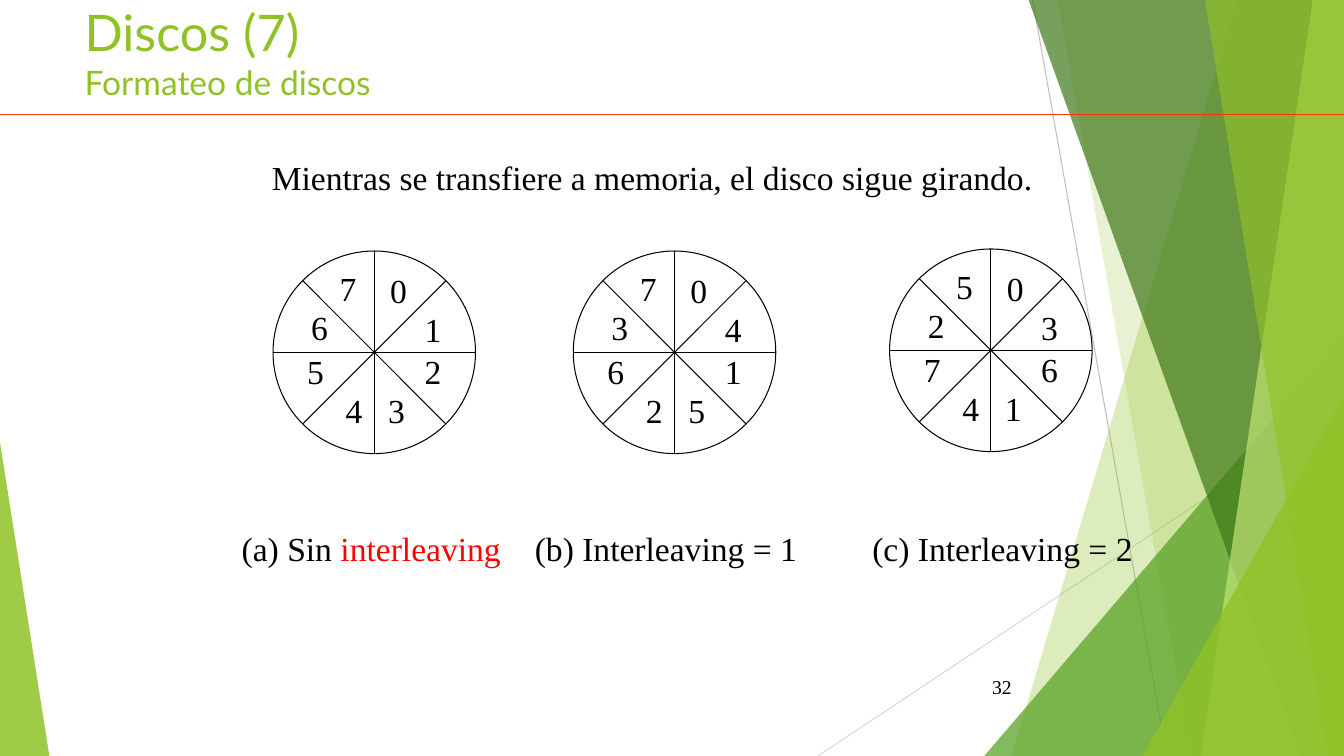
from math import cos, pi, sin

from lxml import etree
from pptx import Presentation
from pptx.dml.color import RGBColor
from pptx.enum.shapes import MSO_CONNECTOR, MSO_SHAPE
from pptx.enum.text import MSO_ANCHOR, PP_ALIGN
from pptx.oxml.ns import qn
from pptx.util import Inches, Pt

LINE = MSO_CONNECTOR.STRAIGHT
OVAL, WEDGE = MSO_SHAPE.OVAL, MSO_SHAPE.ISOSCELES_TRIANGLE
TOP, MIDDLE = MSO_ANCHOR.TOP, MSO_ANCHOR.MIDDLE
LEFT, RIGHT = PP_ALIGN.LEFT, PP_ALIGN.RIGHT

BLACK = RGBColor(0, 0, 0)
RED = RGBColor(0xFF, 0, 0)
ORANGE = RGBColor(0xFF, 0x33, 0)
LIME = RGBColor(0x90, 0xC2, 0x26)
GREEN = RGBColor(0x54, 0xA0, 0x21)
DARK = RGBColor(0x3F, 0x78, 0x19)
PALE = RGBColor(0xC0, 0xE4, 0x74)
GRAY = RGBColor(0xBF, 0xBF, 0xBF)
SILVER = RGBColor(0xD9, 0xD9, 0xD9)

WIDE, HIGH = 13.34, 7.5
SERIF, SANS = "Times New Roman", "Lato"
DISC = 2.01
# Corner of each sector's digit box, clockwise, as shares of the disc size
SLOTS = [(0.53, 0.07), (0.7, 0.26), (0.7, 0.47), (0.52, 0.66),
         (0.31, 0.66), (0.12, 0.47), (0.14, 0.25), (0.28, 0.06)]
DISCS = [(2.71, 2.49, "01234567"), (5.69, 2.49, "04152637"),
         (8.83, 2.47, "03614725")]


def add_line(shapes, x1, y1, x2, y2, color):
    line = shapes.add_connector(LINE, *map(Inches, (x1, y1, x2, y2)))
    line.line.color.rgb = color
    line.line.width = Pt(0.75)
    etree.SubElement(line._element.spPr, qn("a:effectLst"))


def paint(shape, color, alpha):
    """Fill without outline; alpha is the opacity in percent."""
    shape.shadow.inherit = False
    shape.line.fill.background()
    shape.fill.solid()
    shape.fill.fore_color.rgb = color
    tint = shape._element.spPr.find(qn("a:solidFill"))[0]
    etree.SubElement(tint, qn("a:alpha"), val=str(alpha * 1000))


def add_band(shapes, top, foot, color, alpha):
    """Band from a slanted left edge (top to foot) to the right of the slide."""
    pen = shapes.build_freeform(Inches(top), 0, scale=1.0)
    corners = [(WIDE, 0), (WIDE, HIGH), (foot, HIGH)]
    pen.add_line_segments([(Inches(x), Inches(y)) for x, y in corners])
    paint(pen.convert_to_shape(), color, alpha)


def add_wedge(shapes, left, top, width, apex, color, alpha):
    """Right triangle standing on the foot of the slide."""
    box = map(Inches, (left, top, width, HIGH - top))
    wedge = shapes.add_shape(WEDGE, *box)
    wedge.adjustments[0] = apex
    paint(wedge, color, alpha)


def add_decor(shapes):
    add_line(shapes, 10.25, 0, 11.58, HIGH, GRAY)
    add_line(shapes, WIDE, 4.03, 8.12, HIGH, SILVER)
    add_band(shapes, 12.28, 10.04, LIME, 30)
    add_band(shapes, 10.5, 11.82, LIME, 20)
    add_wedge(shapes, 9.77, 3.33, WIDE - 9.77, 1, GREEN, 72)
    add_band(shapes, 10.21, 12.91, DARK, 70)
    add_band(shapes, 13.03, 11.92, PALE, 70)
    add_band(shapes, 11.96, 13.18, LIME, 65)
    add_wedge(shapes, 11.34, 3.93, WIDE - 11.34, 1, LIME, 80)
    add_wedge(shapes, 0, 4.39, 0.49, 0, LIME, 85)
    add_line(shapes, 0, 1.14, WIDE, 1.14, ORANGE)


def add_text(shapes, box, text, size=24):
    frame = shapes.add_textbox(*map(Inches, box)).text_frame
    frame.word_wrap = True
    para = frame.paragraphs[0]
    para.text = text
    para.font.name, para.font.size = SERIF, Pt(size)
    para.font.color.rgb = BLACK
    return frame


def add_title(title):
    title.left, title.top, title.width, title.height = map(
        Inches, (0.74, -0.04, 9.4, 1.44))
    title.text_frame.vertical_anchor = TOP
    para = title.text_frame.paragraphs[0]
    para.alignment = LEFT
    para.font.name, para.font.size = SANS, Pt(36)
    para.font.color.rgb = LIME
    para.add_run().text = "Discos (7)"
    para.add_line_break()
    sub = para.add_run()
    sub.text = "Formateo de discos"
    sub.font.size = Pt(24)


def add_disc(shapes, left, top, size, digits):
    group = shapes.add_group_shape().shapes
    ring = group.add_shape(OVAL, *map(Inches, (left, top, size, size)))
    ring.shadow.inherit = False
    ring.fill.background()
    ring.line.color.rgb = BLACK
    ring.line.width = Pt(0.75)
    half = size / 2
    midx, midy = left + half, top + half
    for step in range(4):
        dx, dy = half * cos(step * pi / 4), half * sin(step * pi / 4)
        add_line(group, midx - dx, midy - dy, midx + dx, midy + dy, BLACK)
    for digit, (x, y) in zip(digits, SLOTS):
        add_text(group, (left + x * size, top + y * size, 0.4, 0.5), digit)


def add_labels(shapes, box):
    para = add_text(shapes, box, "(a) Sin ").paragraphs[0]
    para.line_spacing = 0.9
    tabs = etree.Element(qn("a:tabLst"))
    for stop in (2.91, 6.26):
        etree.SubElement(tabs, qn("a:tab"), pos=str(Inches(stop)), algn="l")
    para._p.pPr.find(qn("a:defRPr")).addprevious(tabs)
    key = para.add_run()
    key.text = "interleaving"
    key.font.color.rgb = RED
    para.add_run().text = "\t(b) Interleaving = 1\t(c) Interleaving = 2"


def main():
    deck = Presentation()
    deck.slide_width, deck.slide_height = Inches(WIDE), Inches(HIGH)
    slide = deck.slides.add_slide(deck.slide_layouts[5])
    shapes = slide.shapes
    add_decor(shapes)
    add_title(shapes.title)
    page = add_text(shapes, (9.39, 6.61, 0.75, 0.4), "32", 14)
    page.vertical_anchor = MIDDLE
    page.paragraphs[0].alignment = RIGHT
    add_labels(shapes, (2.3, 5.23, 9.11, 0.72))
    add_text(shapes, (2.6, 1.51, 8, 0.5),
             "Mientras se transfiere a memoria, el disco sigue girando.")
    for left, top, digits in DISCS:
        add_disc(shapes, left, top, DISC, digits)
    deck.save("out.pptx")


if __name__ == "__main__":
    main()
